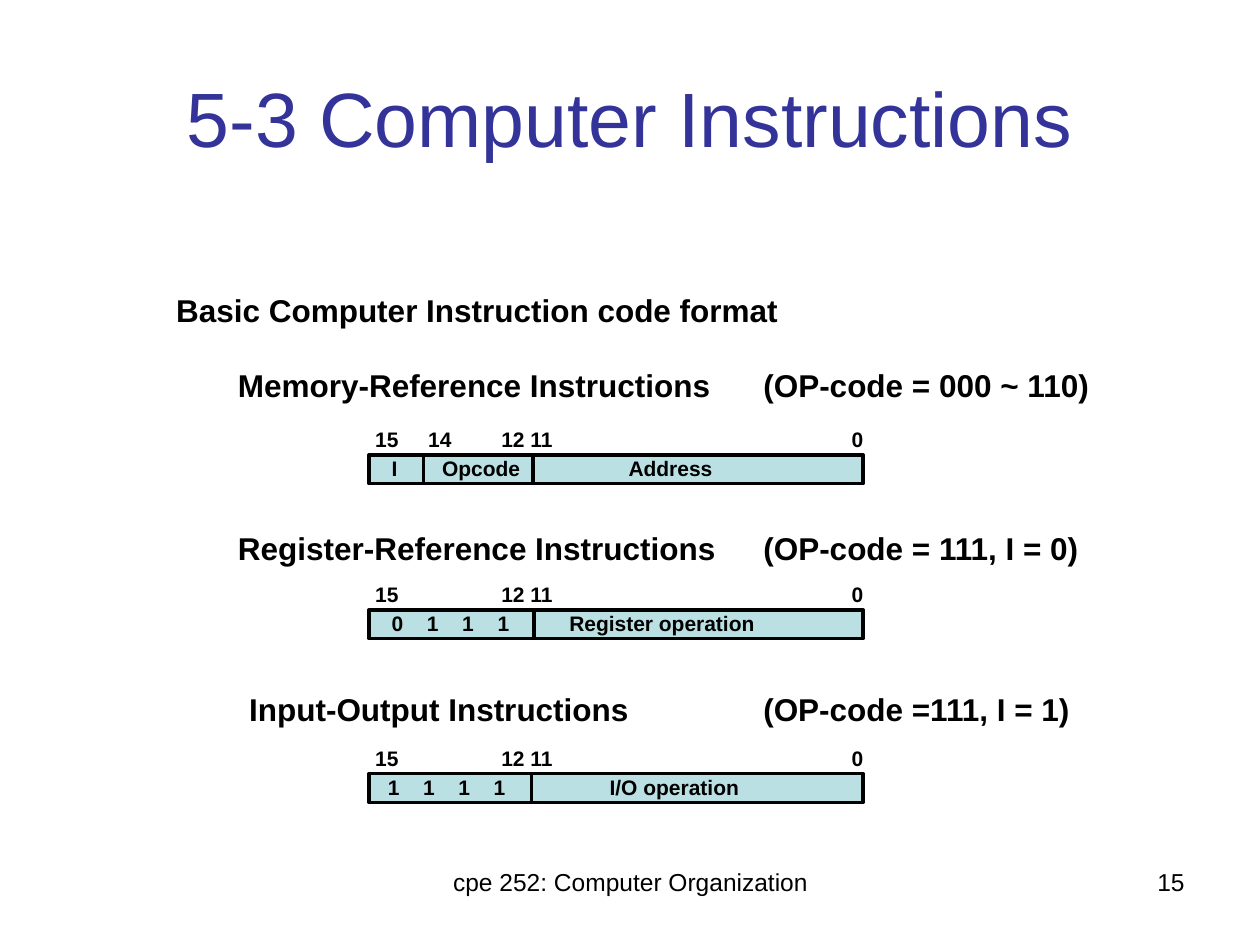
from lxml import etree
from pptx import Presentation
from pptx import util as u
from pptx.dml.color import RGBColor
from pptx.enum import shapes, text
from pptx.oxml.ns import qn

COLUMNS, ROWS = 100, 75
BAR_LEFT, BAR_WIDTH, BAR_HEIGHT = 29.3, 39.2, 2.3
BIT_STOPS = (2.8, 5.6, 8.4)
INK, BAR_FILL, TITLE_INK = "000000", "BBE0E3", "333399"
FORMATS = [
    {"heading": "Memory-Reference Instructions\t(OP-code = 000 ~ 110)",
     "left": 17.9, "top": 28.9, "bar": 36.1, "dividers": (33.6, 42.3),
     "ticks": "15\t14",
     "fields": [("I", 30.1, 3, ()), ("Opcode", 34.1, 8.2, ()), ("Address", 48.9, 8.7, ())]},
    {"heading": "Register-Reference Instructions\t(OP-code = 111, I = 0)",
     "left": 17.9, "top": 41.8, "bar": 48.4, "dividers": (42.4,),
     "ticks": "15",
     "fields": [("0\t1\t1\t1", 30.1, 11.2, BIT_STOPS), ("Register operation", 44.2, 16.7, ())]},
    {"heading": "Input-Output Instructions\t(OP-code =111, I = 1)",
     "left": 18.8, "top": 54.6, "bar": 61.4, "dividers": (42.2,),
     "ticks": "15",
     "fields": [("1\t1\t1\t1", 29.8, 11.2, BIT_STOPS), ("I/O operation", 47.4, 12.3, ())]},
]


def cells(*counts):
    """Turn counts of grid cells, a tenth of an inch each, into lengths."""
    return [u.Inches(count / 10) for count in counts]


def colour(value):
    """Turn a hex string into a colour."""
    return RGBColor.from_string(value)


def add_text(page, words, place, size, bold=True, ink=INK, align=text.PP_ALIGN.LEFT,
             anchor=text.MSO_ANCHOR.TOP, spacing=0.9, stops=()):
    """Add one paragraph of text, with optional tab stops."""
    frame = page.shapes.add_textbox(*cells(*place)).text_frame
    frame.word_wrap = True
    frame.vertical_anchor = anchor
    if align == text.PP_ALIGN.LEFT:
        frame.margin_right = 0
    para = frame.paragraphs[0]
    para.text = words
    para.alignment = align
    para.line_spacing = spacing
    if stops:
        tabs = etree.SubElement(para._p.get_or_add_pPr(), qn("a:tabLst"))
        for stop in cells(*stops):
            etree.SubElement(tabs, qn("a:tab"), pos=str(stop), algn="l")
    para.font.name = "Arial"
    para.font.size = u.Pt(size)
    para.font.bold = bold
    para.font.color.rgb = colour(ink)


def outline(shape):
    """Give a shape or connector the black two-point line."""
    shape.line.color.rgb = colour(INK)
    shape.line.width = u.Pt(2)


def add_bar(page, top, dividers):
    """Add an instruction word, split into fields by vertical lines."""
    bar = page.shapes.add_shape(shapes.MSO_SHAPE.RECTANGLE,
                                *cells(BAR_LEFT, top, BAR_WIDTH, BAR_HEIGHT))
    bar.shadow.inherit = False
    bar.fill.solid()
    bar.fill.fore_color.rgb = colour(BAR_FILL)
    outline(bar)
    for column in dividers:
        divider = page.shapes.add_connector(shapes.MSO_CONNECTOR.STRAIGHT,
                                            *cells(column, top, column, top + BAR_HEIGHT))
        outline(divider)
        etree.SubElement(divider._element.spPr, qn("a:effectLst"))


def add_format(page, layout):
    """Add a heading, the bit numbers and the labelled instruction word."""
    left, bar = layout["left"], layout["bar"]
    add_text(page, layout["heading"], (left, layout["top"], 70, 3.7), 18,
             stops=(59.6 - left,))
    add_bar(page, bar, layout["dividers"])
    ticks = [(layout["ticks"], 28.8, 8), ("12 11", 38.8, 6.2), ("0", 66.6, 2.9)]
    for words, column, width in ticks:
        add_text(page, words, (column, bar - 2.5, width, 2.8), 12, stops=(4.2,))
    for words, column, width, stops in layout["fields"]:
        add_text(page, words, (column, bar - 0.2, width, 2.8), 12, stops=stops)


def main():
    """Build the slide and save it."""
    deck = Presentation()
    deck.slide_width, deck.slide_height = cells(COLUMNS, ROWS)
    page = deck.slides.add_slide(deck.slide_layouts[6])
    add_text(page, "5-3 Computer Instructions", (5, 3, 90, 12.5), 44, bold=False,
             ink=TITLE_INK, align=text.PP_ALIGN.CENTER,
             anchor=text.MSO_ANCHOR.MIDDLE, spacing=1.0)
    add_text(page, "Basic Computer Instruction code format", (13, 22.6, 52, 3.6), 18,
             spacing=1.0)
    for layout in FORMATS:
        add_format(page, layout)
    add_text(page, "cpe 252: Computer Organization", (34.2, 68.3, 31.7, 5.2), 14,
             bold=False, align=text.PP_ALIGN.CENTER, spacing=1.0)
    add_text(page, "15", (71.7, 68.3, 23.3, 5.2), 14, bold=False,
             align=text.PP_ALIGN.RIGHT, spacing=1.0)
    deck.save("out.pptx")


if __name__ == "__main__":
    main()
